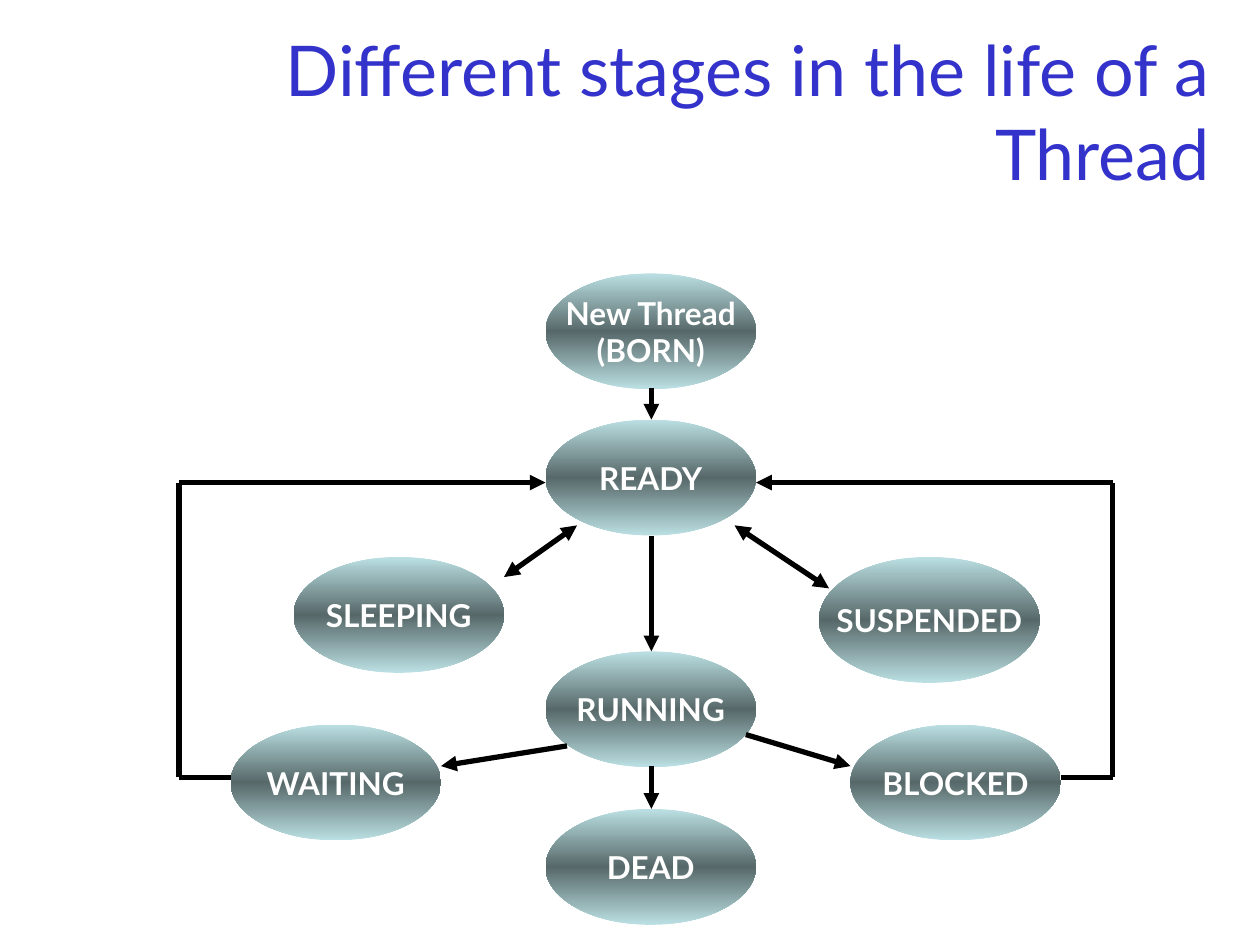
import copy
import itertools

import pptx
import pptx.dml.color
import pptx.enum.shapes
import pptx.enum.text
import pptx.oxml
import pptx.oxml.ns
import pptx.util

Inches = pptx.util.Inches
Pt = pptx.util.Pt
qn = pptx.oxml.ns.qn

FONT = "Lato"
COLORS = {
    "title": "3333CC",
    "edge": "BBE0E3",
    "middle": "576869",
    "label": "FFFFFF",
    "line": "000000",
}
OVAL = (1.67, 0.92)
CENTER = 2.91
STATES = [
    ("New Thread\n(BORN)", CENTER, 0, OVAL),
    ("READY", CENTER, 1.16, OVAL),
    ("RUNNING", CENTER, 3, OVAL),
    ("DEAD", CENTER, 4.25, OVAL),
    ("SLEEPING", 0.91, 2.25, OVAL),
    ("WAITING", 0.41, 3.58, OVAL),
    ("BLOCKED", 5.33, 3.58, OVAL),
    ("SUSPENDED", 5.08, 2.25, (1.75, 1)),
]
TRANSITIONS = [
    ([(3.75, 0.91), (3.75, 1.16)], False),
    ([(3.75, 2.08), (3.75, 3)], False),
    ([(3.75, 3.91), (3.75, 4.25)], False),
    ([(3.08, 3.75), (2.08, 3.91)], False),
    ([(4.5, 3.66), (5.33, 3.91)], False),
    ([(3.16, 2), (2.58, 2.41)], True),
    ([(5.16, 2.5), (4.41, 2)], True),
    ([(0.41, 4), (0, 4), (0, 1.66), (2.91, 1.66)], False),
    ([(7, 4), (7.41, 4), (7.41, 1.66), (4.58, 1.66)], False),
]


def rgb(name):
    return pptx.dml.color.RGBColor.from_string(COLORS[name])


def format_text(p, size, color, align, bold=False):
    p.alignment = align
    p.font.name = FONT
    p.font.size = Pt(size)
    p.font.bold = bold
    p.font.color.rgb = rgb(color)


def place_title(slide, left, top, width, height):
    sp = slide.shapes.title
    sp.left, sp.top, sp.width, sp.height = map(Inches, (left, top, width, height))
    tf = sp.text_frame
    tf.text = "Different stages in the life of a Thread"
    tf.word_wrap = True
    tf.auto_size = pptx.enum.text.MSO_AUTO_SIZE.NONE
    tf.vertical_anchor = pptx.enum.text.MSO_ANCHOR.MIDDLE
    tf.margin_right = Inches(0.2)
    format_text(tf.paragraphs[0], 40, "title", pptx.enum.text.PP_ALIGN.RIGHT)


def fill_gradient(sp):
    sp.fill.gradient()
    sp.fill.gradient_angle = 90
    stops = sp._element.spPr.find(".//" + qn("a:gsLst"))
    stops.append(copy.deepcopy(stops[-1]))
    steps = [(0, "edge"), (0.5, "middle"), (1, "edge")]
    for stop, (position, color) in zip(sp.fill.gradient_stops, steps):
        stop.position = position
        stop.color.rgb = rgb(color)


def add_state(slide, label, left, top, width, height):
    sp = slide.shapes.add_shape(
        pptx.enum.shapes.MSO_SHAPE.OVAL, *map(Inches, (left, top, width, height))
    )
    sp.shadow.inherit = False
    sp.line.fill.background()
    fill_gradient(sp)
    tf = sp.text_frame
    tf.word_wrap = False
    tf.vertical_anchor = pptx.enum.text.MSO_ANCHOR.MIDDLE
    tf.text = label
    for p in tf.paragraphs:
        format_text(p, 18, "label", pptx.enum.text.PP_ALIGN.CENTER, bold=True)


def add_line(slide, start, end, arrows):
    line = slide.shapes.add_connector(
        pptx.enum.shapes.MSO_CONNECTOR.STRAIGHT, *map(Inches, start + end)
    )
    line.line.width = Pt(3)
    line.line.color.rgb = rgb("line")
    ln = line.line._get_or_add_ln()
    for tag in arrows:
        ln.append(pptx.oxml.parse_xml(f'<a:{tag} {pptx.oxml.ns.nsdecls("a")} type="triangle"/>'))
    line._element.spPr.append(
        pptx.oxml.parse_xml(f'<a:effectLst {pptx.oxml.ns.nsdecls("a")}/>')
    )


def place_diagram(slide, left, top):
    for label, x, y, size in STATES:
        add_state(slide, label, left + x, top + y, *size)
    for route, both_ways in TRANSITIONS:
        points = [(left + x, top + y) for x, y in route]
        for start, end in itertools.pairwise(points):
            arrows = ["headEnd"] if both_ways else []
            if end == points[-1]:
                arrows.append("tailEnd")
            add_line(slide, start, end, arrows)


def main():
    prs = pptx.Presentation()
    prs.slide_width = Inches(10)
    prs.slide_height = Inches(7.5)
    slide = prs.slides.add_slide(prs.slide_layouts[5])
    place_title(slide, 0.8, 0.44, 9, 0.87)
    place_diagram(slide, 1.42, 2.17)
    prs.save("out.pptx")


if __name__ == "__main__":
    main()
